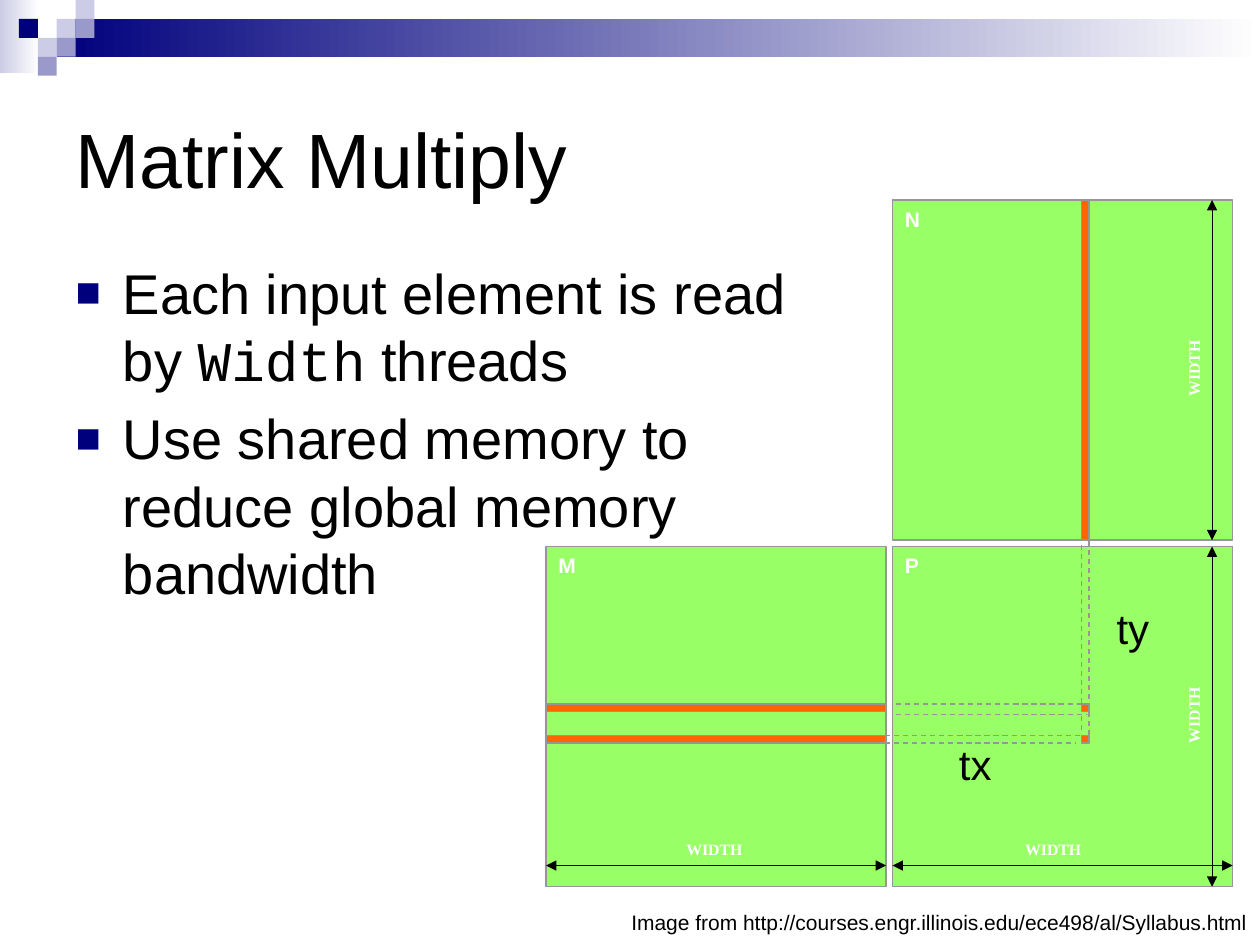
from pptx import Presentation
from pptx.dml.color import RGBColor
from pptx.enum.dml import MSO_LINE
from pptx.enum.shapes import MSO_CONNECTOR, MSO_SHAPE
from pptx.enum.text import MSO_ANCHOR, MSO_AUTO_SIZE, PP_ALIGN
from pptx.oxml.ns import qn
from pptx.util import Pt
from lxml import etree

RECT = MSO_SHAPE.RECTANGLE
STRAIGHT = MSO_CONNECTOR.STRAIGHT
DASH = MSO_LINE.DASH
TOP, MIDDLE = MSO_ANCHOR.TOP, MSO_ANCHOR.MIDDLE
LEFT, CENTER, RIGHT = PP_ALIGN.LEFT, PP_ALIGN.CENTER, PP_ALIGN.RIGHT
FIXED = MSO_AUTO_SIZE.NONE

BLACK = RGBColor(0, 0, 0)
WHITE = RGBColor(255, 255, 255)
NAVY = RGBColor(0, 0, 0x7D)
PALE = RGBColor(0xCC, 0xCC, 0xE6)
LILAC = RGBColor(0x99, 0x99, 0xCC)
GREEN = RGBColor(0x99, 0xFF, 0x66)
ORANGE = RGBColor(0xFF, 0x66, 0)
GRAY = RGBColor(0x96, 0x96, 0x96)


class Deck:
    face = "Arial"
    mono = "Courier New"
    serif = "Times New Roman"

    def __init__(self):
        self.prs = Presentation()
        self.prs.slide_width, self.prs.slide_height = Pt(720), Pt(540)
        self.slide = self.prs.slides.add_slide(self.prs.slide_layouts[1])
        self.shapes = self.slide.shapes

    def style(self, para, size, color=BLACK, face=None, bold=False, align=LEFT):
        para.alignment = align
        font = para.font
        font.name, font.size, font.bold = face or self.face, Pt(size), bold
        font.color.rgb = color

    def place(self, shape, box):
        shape.left, shape.top, shape.width, shape.height = map(Pt, box)

    def rect(self, box, color, edge=None):
        shape = self.shapes.add_shape(RECT, *map(Pt, box))
        shape.shadow.inherit = False
        shape.fill.solid()
        shape.fill.fore_color.rgb = color
        if edge is None:
            shape.line.fill.background()
        else:
            shape.line.color.rgb = edge
            shape.line.width = Pt(0.75)
        return shape

    def fade(self, box, color):
        fill = self.rect(box, color).fill
        fill.gradient()
        fill.gradient_angle = 0
        for stop, tone in zip(fill.gradient_stops, (color, WHITE)):
            stop.color.rgb = tone

    def matrix(self, box, name):
        frame = self.rect(box, GREEN, GRAY).text_frame
        frame.vertical_anchor = TOP
        frame.text = name
        self.style(frame.paragraphs[0], 12, WHITE, bold=True)

    def line(self, start, end, color, width):
        link = self.shapes.add_connector(STRAIGHT, *map(Pt, start + end))
        link.line.color.rgb = color
        link.line.width = Pt(width)
        etree.SubElement(link._element.spPr, qn("a:effectLst"))
        return link.line

    def guide(self, start, end):
        self.line(start, end, GRAY, 0.75).dash_style = DASH

    def arrow(self, start, end):
        ln = self.line(start, end, BLACK, 0.5)._get_or_add_ln()
        for tag in ("a:headEnd", "a:tailEnd"):
            etree.SubElement(ln, qn(tag), type="triangle")

    def text(self, box, words, size, wrap=False, pad=True, turn=0, **look):
        shape = self.shapes.add_textbox(*map(Pt, box))
        shape.rotation = turn
        frame = shape.text_frame
        frame.word_wrap = wrap
        if not pad:
            frame.margin_left = frame.margin_right = 0
            frame.margin_top = frame.margin_bottom = 0
        frame.text = words
        self.style(frame.paragraphs[0], size, **look)

    def width(self, x, y, turn=0):
        self.text((x, y, 36, 10.8), "WIDTH", 9, pad=False, turn=turn,
                  color=WHITE, face=self.serif, bold=True, align=CENTER)

    def title(self, box, words):
        shape = self.shapes.title
        self.place(shape, box)
        frame = shape.text_frame
        frame.auto_size, frame.vertical_anchor = FIXED, MIDDLE
        frame.text = words
        self.style(frame.paragraphs[0], 44)

    def bullet(self, para):
        para.space_before = Pt(6.4)
        props = para._p.get_or_add_pPr()
        props.set("marL", str(Pt(27)))
        props.set("indent", str(-Pt(27)))
        tint = etree.SubElement(props, qn("a:buClr"))
        etree.SubElement(tint, qn("a:srgbClr"), val=str(NAVY))
        etree.SubElement(props, qn("a:buSzPct"), val="75000")
        etree.SubElement(props, qn("a:buFont"), typeface=self.face)
        etree.SubElement(props, qn("a:buChar"), char="■")

    def body(self, box, items):
        shape = self.slide.placeholders[1]
        self.place(shape, box)
        frame = shape.text_frame
        frame.auto_size, frame.vertical_anchor = FIXED, TOP
        for i, parts in enumerate(items):
            para = frame.paragraphs[0] if i == 0 else frame.add_paragraph()
            self.bullet(para)
            for words, face in parts:
                run = para.add_run()
                run.text = words
                font = run.font
                font.name, font.size = face, Pt(32)
                font.color.rgb = BLACK

    def banner(self):
        unit = 10.8
        self.fade((0, 0, 22.3, 41.8), PALE)
        self.fade((3 * unit, unit, 720 - 3 * unit, 2 * unit), NAVY)
        tiles = ((3, 1, PALE), (4, 0, PALE), (4, 1, LILAC), (2, 2, PALE),
                 (1, 1, NAVY), (3, 2, LILAC), (2, 3, LILAC))
        for col, row, color in tiles:
            self.rect((col * unit, row * unit, unit, unit), color)


def main():
    deck = Deck()
    deck.banner()
    deck.title((36, 36, 648, 108), "Matrix Multiply")
    deck.body((36, 144, 432, 306), (
        (("Each input element is read by ", deck.face), ("Width", deck.mono),
         (" threads", deck.face)),
        (("Use shared memory to reduce global memory bandwidth", deck.face),)))
    deck.text((0, 516.2, 720, 21.6),
              "Image from http://courses.engr.illinois.edu/ece498/al/Syllabus.html",
              12, wrap=True, align=RIGHT)

    side, thin = 194.4, 4.3
    west, east, north, south = 312, 510, 114.3, 312.3
    col, rows = 618, (402.3, 420.3)
    for x, y, name in ((west, south, "M"), (east, north, "N"), (east, south, "P")):
        deck.matrix((x, y, side, side), name)

    deck.rect((col, north, thin, side), ORANGE, GRAY)
    for y in rows:
        deck.rect((west, y, side, thin), ORANGE, GRAY)
        deck.rect((col, y, thin, thin), ORANGE, GRAY)

    deck.guide((col, 306), (col, 417.6))
    deck.guide((col + thin, 308.9), (col + thin, 420.3))
    deck.guide((512, 402.3), (620.6, 402.3))
    deck.guide((512, 408.2), (620.6, 408.2))
    deck.guide((505.8, 420.3), (617, 420.3))
    deck.guide((505.8, 424.6), (614.2, 424.6))

    for x in (west, east):
        deck.arrow((x + side, 494.6), (x, 494.6))
    for y in (north, south):
        deck.arrow((692.6, y + side), (692.6, y))
        deck.width(664, y + 90.9, 270)
    for x in (390.2, 583.8):
        deck.width(x, 480)

    deck.text((631, 340.6, 36, 36), "ty", 24)
    deck.text((540.9, 418.3, 34.6, 36), "tx", 24)
    deck.prs.save("out.pptx")


if __name__ == "__main__":
    main()
